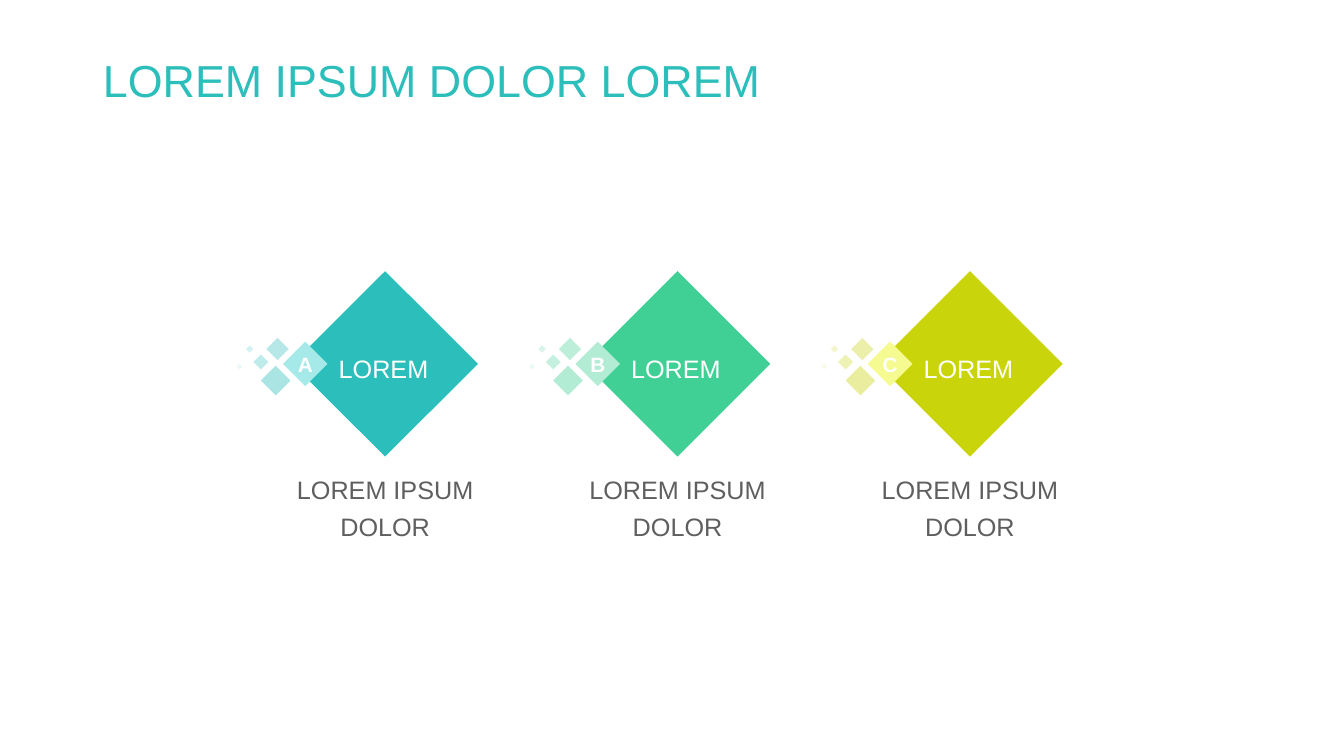
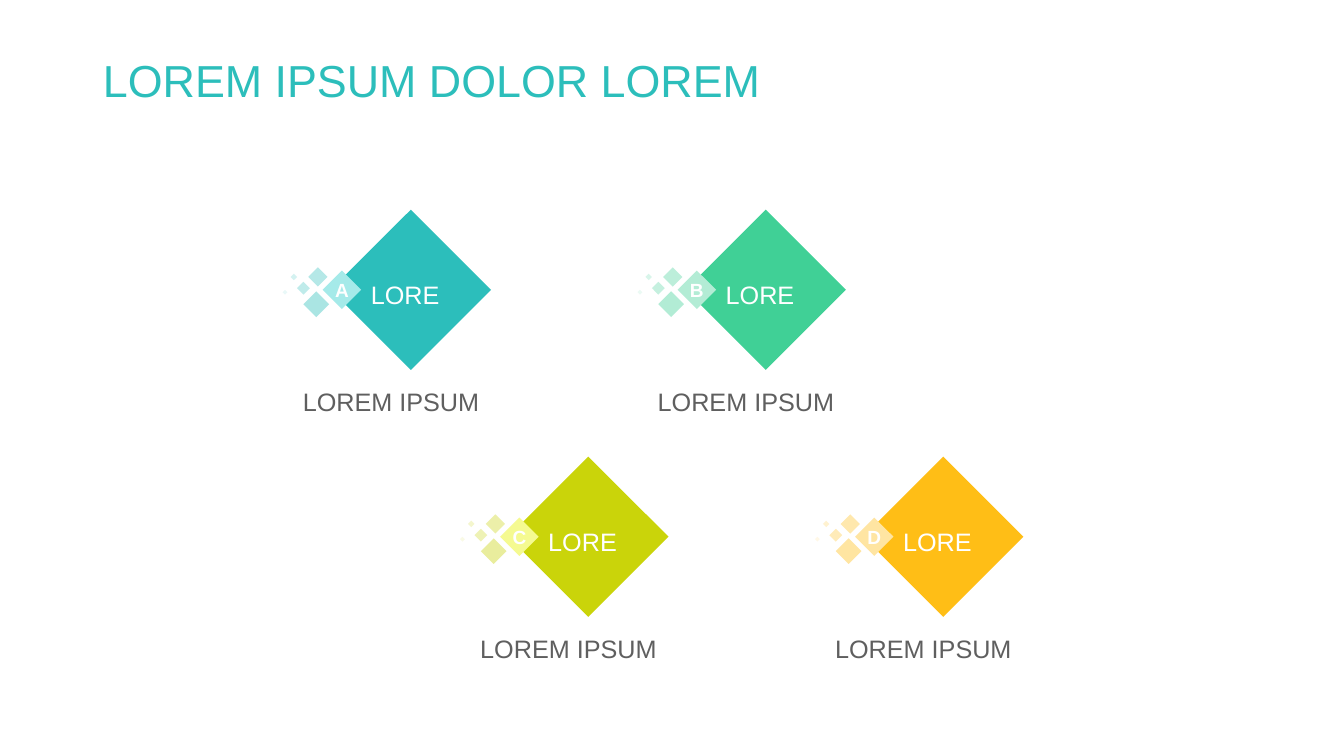
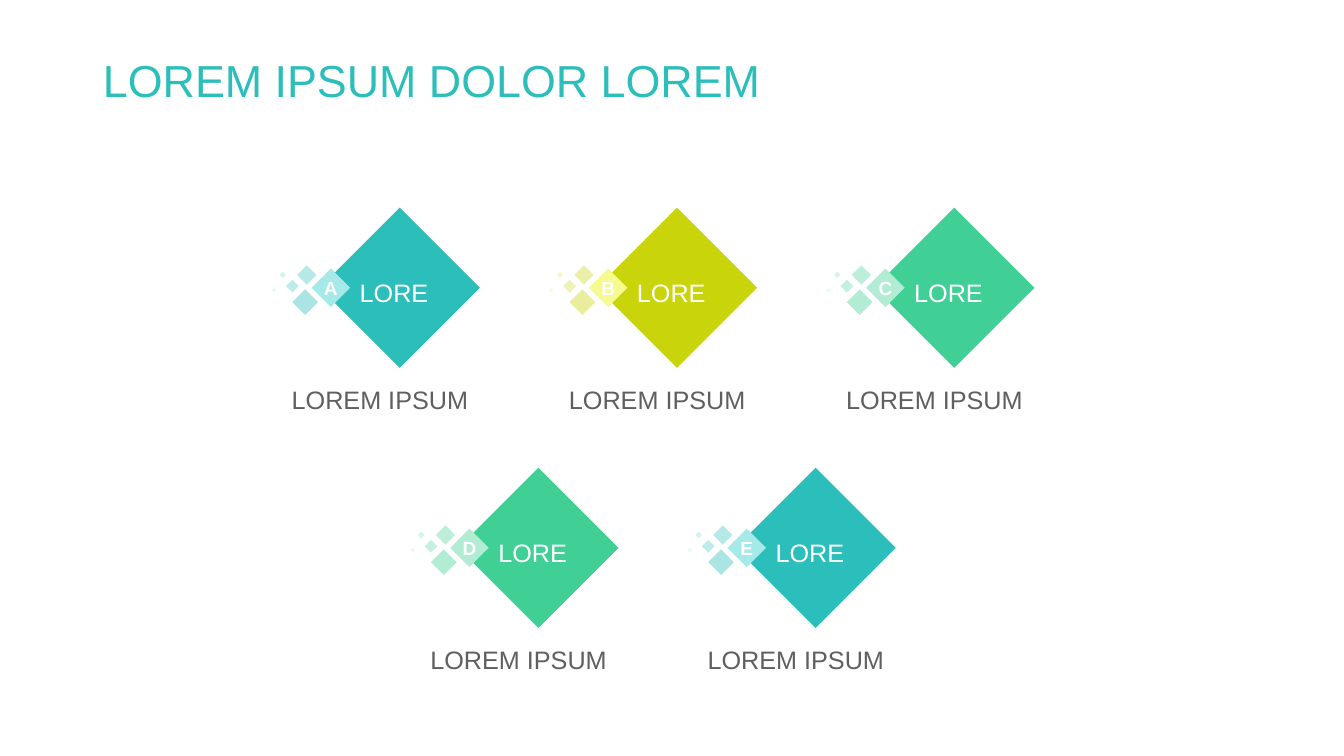
from lxml import etree
from pptx import Presentation
from pptx.dml.color import RGBColor
from pptx.enum.shapes import MSO_SHAPE
from pptx.enum.text import MSO_ANCHOR, MSO_AUTO_SIZE, PP_ALIGN
from pptx.oxml.ns import qn
from pptx.util import Inches, Pt

DIAMOND = MSO_SHAPE.DIAMOND
MIDDLE = MSO_ANCHOR.MIDDLE
NO_FIT = MSO_AUTO_SIZE.NONE
LEFT, CENTER, JUSTIFY = PP_ALIGN.LEFT, PP_ALIGN.CENTER, PP_ALIGN.JUSTIFY

FONT = "Arial"
COLORS = {
    "teal": "2CBEBB", "teal_light": "A5EAE9",
    "green": "40D096", "green_light": "B3ECD5",
    "lime": "CAD40A", "lime_light": "F5FA91",
    "amber": "FFBE16", "amber_light": "FFE5A2",
    "white": "FFFFFF", "grey": "5F5F5F",
}

TITLE = "LOREM IPSUM DOLOR LOREM"
BADGE = (-0.05, 0.38, 0.24)
DOTS = [
    (-0.17, 0.51, 0.16, 40),
    (-0.14, 0.36, 0.12, 35),
    (-0.21, 0.45, 0.08, 30),
    (-0.25, 0.4, 0.04, 20),
    (-0.3, 0.5, 0.03, 10),
]

SLIDES = [
    {"left": 2.9, "top": 2.69, "col": 2.9, "row": 0, "size": 1.84,
     "label": "LOREM", "letter_pt": 14.8,
     "caption": "LOREM IPSUM DOLOR", "caption_box": (2.35, 1.19),
     "caption_gap": 0.07, "caption_align": CENTER,
     "items": [("A", 0, 0, "teal"), ("B", 1, 0, "green"), ("C", 2, 0, "lime")]},
    {"left": 3.28, "top": 2.08, "col": 3.52, "row": 2.45, "size": 1.59,
     "label": "LORE", "letter_pt": 13.6,
     "caption": "LOREM IPSUM", "caption_box": (2.34, 0.83),
     "caption_gap": 0.05, "caption_align": JUSTIFY,
     "items": [("A", 0, 0, "teal"), ("B", 1, 0, "green"),
               ("C", 0.5, 1, "lime"), ("D", 1.5, 1, "amber")]},
    {"left": 3.17, "top": 2.06, "col": 2.75, "row": 2.58, "size": 1.59,
     "label": "LORE", "letter_pt": 13.6,
     "caption": "LOREM IPSUM", "caption_box": (2.34, 0.83),
     "caption_gap": 0.05, "caption_align": JUSTIFY,
     "items": [("A", 0, 0, "teal"), ("B", 1, 0, "lime"), ("C", 2, 0, "green"),
               ("D", 0.5, 1, "green"), ("E", 1.5, 1, "teal")]},
]


def add_diamond(shapes, x, y, size, color):
    sp = shapes.add_shape(DIAMOND, Inches(x), Inches(y), Inches(size), Inches(size))
    sp.shadow.inherit = False
    sp.fill.solid()
    sp.fill.fore_color.rgb = RGBColor.from_string(COLORS[color])
    sp.line.fill.background()
    tf = sp.text_frame
    tf.margin_left = tf.margin_top = tf.margin_right = tf.margin_bottom = 0
    tf.vertical_anchor = MIDDLE
    return sp


def set_text(tf, text, size, color, align, spacing=1.0, bold=False):
    tf.word_wrap = True
    tf.text = text
    p = tf.paragraphs[0]
    p.alignment = align
    p.line_spacing = spacing
    r = p.runs[0]
    r.font.name = FONT
    r.font.size = Pt(size)
    r.font.bold = bold
    r.font.color.rgb = RGBColor.from_string(COLORS[color])


prs = Presentation()
prs.slide_width, prs.slide_height = Inches(13.33), Inches(7.5)

for plan in SLIDES:
    s = prs.slides.add_slide(prs.slide_layouts[5])
    title = s.shapes.title
    title.left, title.top = Inches(0.92), Inches(0.43)
    title.width, title.height = Inches(11.5), Inches(0.79)
    title.text_frame.vertical_anchor = MIDDLE
    title.text_frame.auto_size = NO_FIT
    set_text(title.text_frame, TITLE, 32, "teal", LEFT, 0.9)

    size = plan["size"]
    for letter, col, row, color in plan["items"]:
        x = plan["left"] + col * plan["col"]
        y = plan["top"] + row * plan["row"]
        shapes = s.shapes.add_group_shape().shapes

        sp = add_diamond(shapes, x, y, size, color)
        set_text(sp.text_frame, plan["label"], 18, "white", JUSTIFY, 1.3)

        w, h = plan["caption_box"]
        tb = shapes.add_textbox(Inches(x + (size - w) / 2),
                                Inches(y + size + plan["caption_gap"]),
                                Inches(w), Inches(h))
        set_text(tb.text_frame, plan["caption"], 18, "grey", plan["caption_align"], 1.2)

        dx, dy, share = BADGE
        sp = add_diamond(shapes, x + dx * size, y + dy * size, share * size, color + "_light")
        set_text(sp.text_frame, letter, plan["letter_pt"], "white", CENTER, bold=True)

        for dx, dy, share, opacity in DOTS:
            sp = add_diamond(shapes, x + dx * size, y + dy * size, share * size, color)
            clr = sp.element.spPr.find(qn("a:solidFill")).find(qn("a:srgbClr"))
            etree.SubElement(clr, qn("a:alpha")).set("val", str(opacity * 1000))

prs.save("out.pptx")
